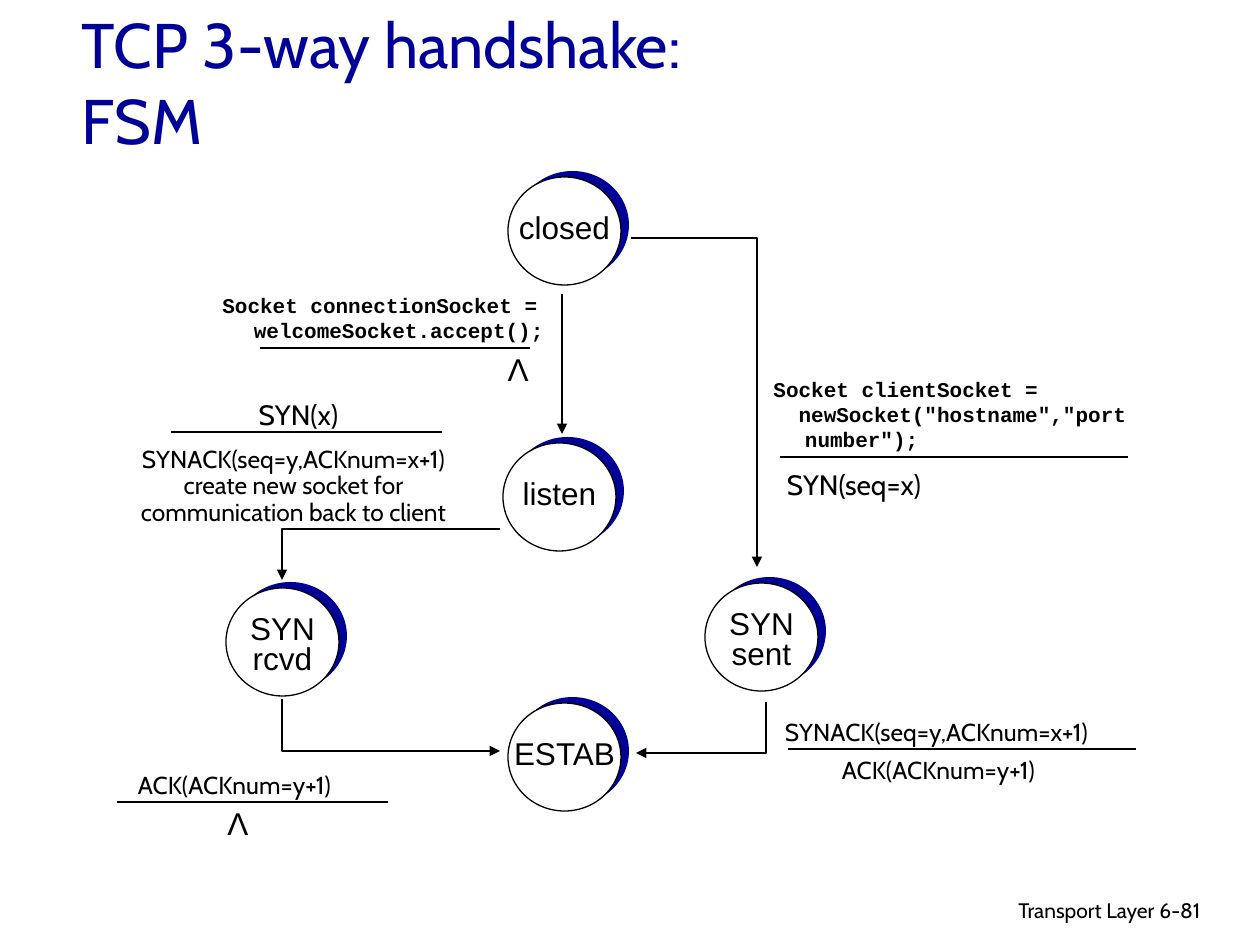
from dataclasses import dataclass

from lxml import etree
from pptx import Presentation
from pptx import util as u
from pptx.dml.color import RGBColor
from pptx.enum import shapes, text
from pptx.oxml.ns import qn

EMU_PER_PX = 914400 / 126
LEFT, CENTER, RIGHT = text.PP_ALIGN.LEFT, text.PP_ALIGN.CENTER, text.PP_ALIGN.RIGHT


@dataclass(frozen=True)
class Theme:
    accent: RGBColor = RGBColor(0x00, 0x00, 0x99)
    ink: RGBColor = RGBColor(0x00, 0x00, 0x00)
    paper: RGBColor = RGBColor(0xFF, 0xFF, 0xFF)
    body: str = "Cabin"
    state: str = "Arial"
    code: str = "Courier New"
    title_size: int = 36
    state_size: int = 18
    event_size: int = 16
    action_size: int = 14
    small_size: int = 12
    line_width: float = 0.75


THEME = Theme()
CIRCLE_W, CIRCLE_H = 113, 108
NAME_OVERHANG = 12


def px(*lengths):
    return [u.Emu(round(length * EMU_PER_PX)) for length in lengths]


def style_paragraph(para, font, size, color=THEME.ink, bold=False):
    for span in para.runs:
        span.font.name = font
        span.font.size = u.Pt(size)
        span.font.color.rgb = color
        span.font.bold = bold


def add_label(page, at, lines, font, size, align=CENTER, spacing=None,
              wrap=False, bold=False, hanging=False):
    box = page.shapes.add_textbox(*px(*at))
    frame = box.text_frame
    frame.word_wrap = wrap
    frame.auto_size = text.MSO_AUTO_SIZE.SHAPE_TO_FIT_TEXT
    frame.text = "\n".join(lines)
    for para in frame.paragraphs:
        para.alignment = align
        if spacing:
            para.line_spacing = spacing
        if hanging:
            properties = para._p.get_or_add_pPr()
            indent = u.Inches(0.25)
            properties.set("marL", str(indent))
            properties.set("indent", str(-indent))
        style_paragraph(para, font, size, bold=bold)


def add_code(page, at, lines):
    add_label(page, at, lines, THEME.code, THEME.small_size, LEFT,
              wrap=True, bold=True, hanging=True)


def add_action(page, at, lines):
    add_label(page, at, lines, THEME.body, THEME.action_size, spacing=0.9)


def add_event(page, at, line):
    add_label(page, at, [line], THEME.body, THEME.event_size)


def add_lambda(page, x, y):
    add_label(page, (x, y, 46, 50), ["Λ"], THEME.state, THEME.state_size)


def add_state(page, x, y, lines):
    """Draw a white circle over an offset accent circle, with its name."""
    group = page.shapes.add_group_shape()
    for dx, dy, fill in ((8, -6, THEME.accent), (0, 0, THEME.paper)):
        circle = group.shapes.add_shape(
            shapes.MSO_SHAPE.OVAL, *px(x + dx, y + dy, CIRCLE_W, CIRCLE_H))
        circle.shadow.inherit = False
        circle.fill.solid()
        circle.fill.fore_color.rgb = fill
        circle.line.fill.background()
    format_line(circle)
    top = y + 25 - 3 * (len(lines) - 1)
    add_label(page, (x - NAME_OVERHANG, top, CIRCLE_W + 2 * NAME_OVERHANG, 50),
              lines, THEME.state, THEME.state_size,
              spacing=0.8 if len(lines) > 1 else None)


def format_line(shape, arrow=False):
    shape.line.color.rgb = THEME.ink
    shape.line.width = u.Pt(THEME.line_width)
    if arrow:
        tail = etree.SubElement(shape.line._get_or_add_ln(), qn("a:tailEnd"))
        tail.set("type", "triangle")


def add_line(page, start, end, arrow=False):
    line = page.shapes.add_connector(
        shapes.MSO_CONNECTOR.STRAIGHT, *px(*start, *end))
    format_line(line, arrow)
    etree.SubElement(line._element.spPr, qn("a:effectLst"))


def add_bent_arrow(page, start, *points):
    builder = page.shapes.build_freeform(*start, scale=EMU_PER_PX)
    builder.add_line_segments(points, close=False)
    arrow = builder.convert_to_shape()
    arrow.shadow.inherit = False
    arrow.fill.background()
    format_line(arrow, arrow=True)


def add_title(page, at, title):
    box = page.shapes.title
    box.left, box.top, box.width, box.height = px(*at)
    frame = box.text_frame
    frame.text = title
    frame.word_wrap = True
    frame.auto_size = text.MSO_AUTO_SIZE.NONE
    frame.vertical_anchor = text.MSO_ANCHOR.MIDDLE
    para = frame.paragraphs[0]
    para.alignment = LEFT
    para.line_spacing = 1.0
    style_paragraph(para, THEME.body, THEME.title_size, THEME.accent)


def add_states(page):
    for x, y, lines in (
        (508, 177, ["closed"]),
        (503, 443, ["listen"]),
        (226, 588, ["SYN", "rcvd"]),
        (705, 583, ["SYN", "sent"]),
        (508, 703, ["ESTAB"]),
    ):
        add_state(page, x, y, lines)


def add_transitions(page):
    add_line(page, (562, 294), (562, 434), arrow=True)
    add_bent_arrow(page, (631, 238), (757, 238), (757, 567))
    add_bent_arrow(page, (500, 529), (282, 529), (282, 580))
    add_bent_arrow(page, (282, 699), (282, 751), (500, 751))
    add_bent_arrow(page, (766, 702), (766, 753), (636, 753))
    for x, y, width in ((260, 348, 270), (171, 432, 271), (780, 457, 348),
                        (788, 749, 348), (117, 802, 271)):
        add_line(page, (x, y), (x + width, y))


def add_transition_labels(page):
    add_code(page, (210, 286, 355, 63),
             ["Socket connectionSocket = welcomeSocket.accept();"])
    add_code(page, (761, 370, 398, 88),
             ["Socket clientSocket =",
              '  newSocket("hostname","port number");'])
    add_lambda(page, 495, 344)
    add_lambda(page, 215, 798)
    add_event(page, (243, 391, 111, 47), "SYN(x)")
    add_event(page, (767, 461, 174, 47), "SYN(seq=x)")
    synack = "SYNACK(seq=y,ACKnum=x+1)"
    ack = "ACK(ACKnum=y+1)"
    add_action(page, (114, 441, 359, 92),
               [synack, "create new socket for", "communication back to client"])
    add_action(page, (757, 714, 359, 40), [synack])
    add_action(page, (818, 752, 241, 40), [ack])
    add_action(page, (114, 767, 241, 40), [ack])


def add_footer(page):
    for at, line, align in (((768, 891, 399, 39), "Transport Layer", RIGHT),
                            ((1147, 891, 93, 38), "6-81", LEFT)):
        add_label(page, at, [line], THEME.body, THEME.small_size, align, wrap=True)


def main():
    deck = Presentation()
    deck.slide_width, deck.slide_height = px(1260, 945)
    page = deck.slides.add_slide(deck.slide_layouts[5])
    add_title(page, (69, 23, 738, 117), "TCP 3-way handshake: FSM")
    add_states(page)
    add_transitions(page)
    add_transition_labels(page)
    add_footer(page)
    deck.save("out.pptx")


if __name__ == "__main__":
    main()
